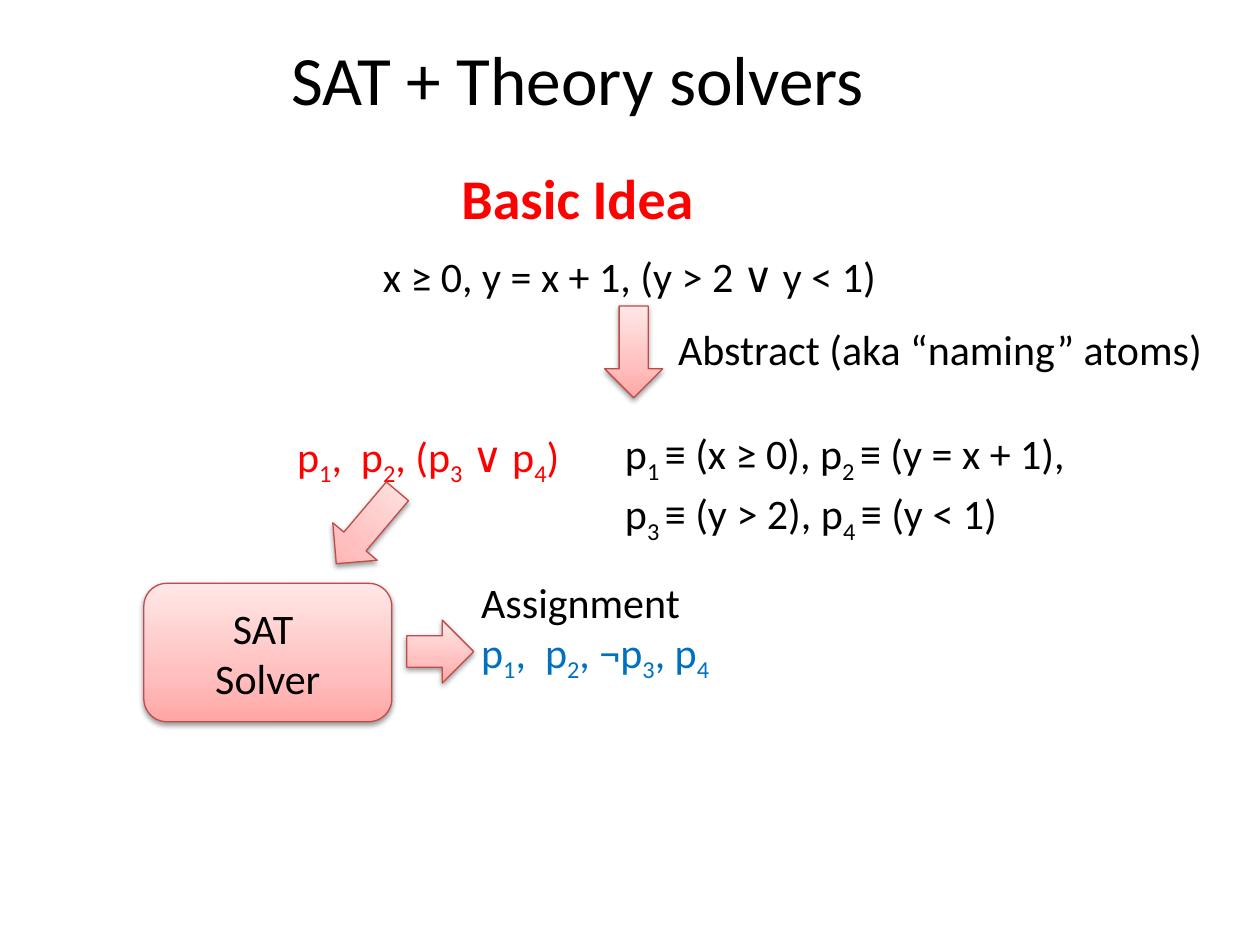
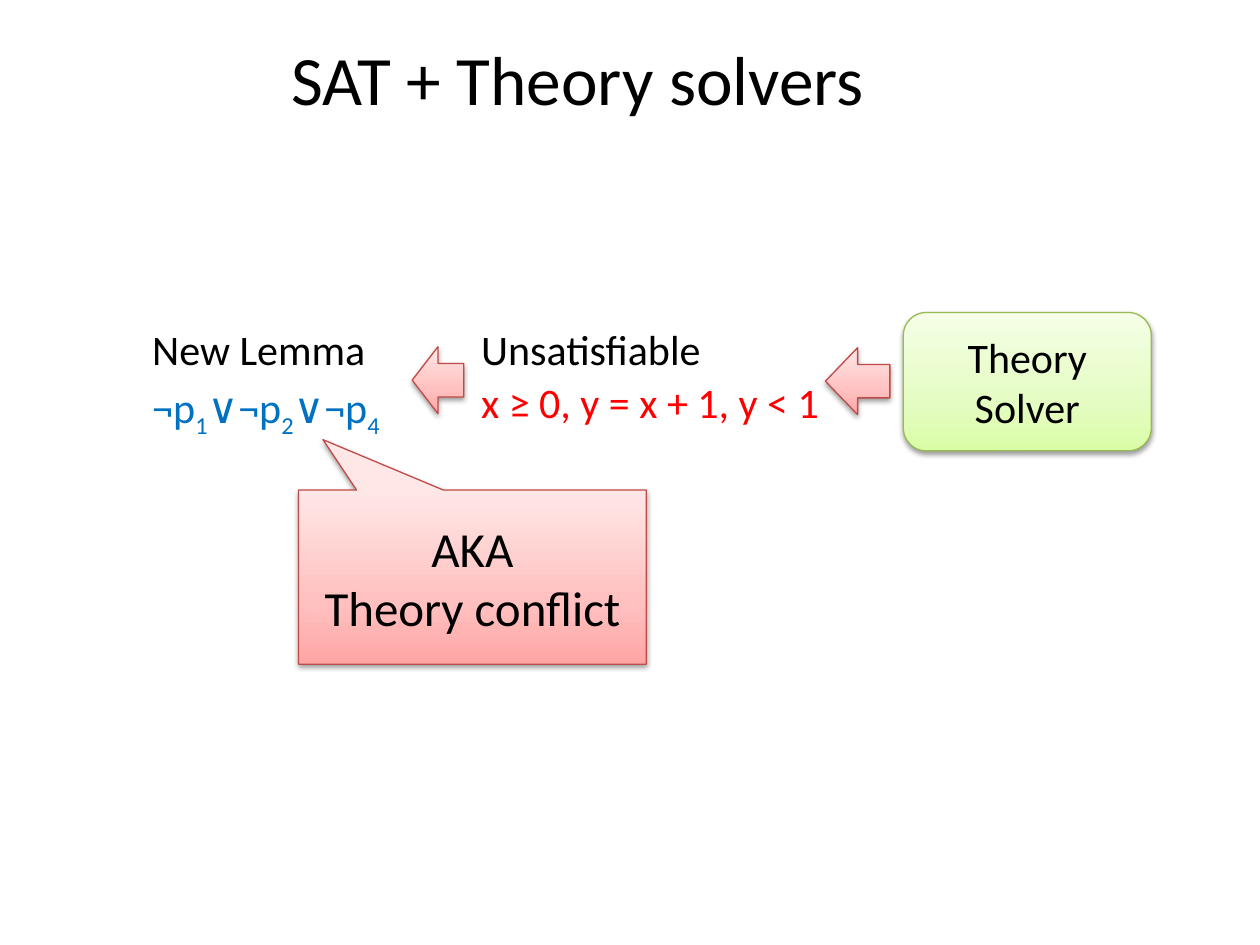
from copy import deepcopy

from lxml import etree
from pptx import Presentation
from pptx.dml.color import RGBColor
from pptx.enum.shapes import MSO_SHAPE
from pptx.enum.text import MSO_ANCHOR, MSO_AUTO_SIZE, PP_ALIGN
from pptx.oxml.ns import qn
from pptx.util import Cm, Pt

LEFT, CENTER = PP_ALIGN.LEFT, PP_ALIGN.CENTER
MIDDLE = MSO_ANCHOR.MIDDLE
NO_AUTOFIT = MSO_AUTO_SIZE.NONE
DOWN_ARROW, RIGHT_ARROW, LEFT_ARROW = (
    MSO_SHAPE.DOWN_ARROW, MSO_SHAPE.RIGHT_ARROW, MSO_SHAPE.LEFT_ARROW)
ROUNDED_BOX = MSO_SHAPE.ROUNDED_RECTANGLE
CALLOUT = MSO_SHAPE.RECTANGULAR_CALLOUT

FONT = "Calibri"
TITLE = "SAT + Theory solvers"
TITLE_ONLY = 5
BODY_SIZE = 24
COLORS = {
    "text": "000000",
    "highlight": "FF0000",
    "literal": "0070C0",
    "shadow": "000000",
    "red_line": "BF4C48",
    "red_dark": "FFA6A5",
    "red_mid": "FFC0BF",
    "red_light": "FFE7E7",
    "green_line": "98B955",
    "green_dark": "DAFDA7",
    "green_mid": "E4FCC2",
    "green_light": "F5FFE7",
}
GRADIENT_STOPS = {"dark": 0, "mid": 0.35, "light": 1}


def rgb(name):
    return RGBColor.from_string(COLORS[name])


def style_paragraph(para, size, color="text", align=LEFT, bold=False):
    para.alignment = align
    font = para.font
    font.name, font.size, font.bold = FONT, Pt(size), bold
    font.color.rgb = rgb(color)


def add_spans(para, text):
    """Text between tildes is set as subscript."""
    for index, part in enumerate(text.split("~")):
        if part:
            span = para.add_run()
            span.text = part
            if index % 2:
                span._r.get_or_add_rPr().set("baseline", "-25000")


def write_lines(frame, lines, size, align, bold=False, leading=1.0, gap=0):
    for index, (text, color) in enumerate(lines):
        para = frame.add_paragraph() if index else frame.paragraphs[0]
        style_paragraph(para, size, color, align, bold)
        para.line_spacing = leading
        para.space_before = Pt(gap if index else 0)
        add_spans(para, text)


def set_margins(frame, across, down):
    frame.margin_left = frame.margin_right = Cm(across)
    frame.margin_top = frame.margin_bottom = Cm(down)


def add_page(deck):
    page = deck.slides.add_slide(deck.slide_layouts[TITLE_ONLY])
    title = page.shapes.title
    title.left, title.top, title.width, title.height = map(Cm, (0, 0.64, 23.29, 1.85))
    frame = title.text_frame
    frame.auto_size = NO_AUTOFIT
    frame.vertical_anchor = MIDDLE
    write_lines(frame, [(TITLE, "text")], 39.6, CENTER)
    return page


def add_heading(page, text, place):
    frame = page.shapes.add_textbox(*map(Cm, place)).text_frame
    frame.word_wrap = True
    write_lines(frame, [(text, "highlight")], 32, CENTER, bold=True)


def add_formula(page, lines, place, align=LEFT, gap=4.8):
    frame = page.shapes.add_textbox(*map(Cm, place)).text_frame
    frame.word_wrap = True
    set_margins(frame, 0, 0)
    write_lines(frame, lines, BODY_SIZE, align, leading=0.9, gap=gap)


def fill_gradient(shape, tone):
    shape.fill.gradient()
    shape.fill.gradient_angle = 90
    first = shape.fill._xPr.find(".//" + qn("a:gs"))
    first.addnext(deepcopy(first))
    for stop, (shade, position) in zip(shape.fill.gradient_stops, GRADIENT_STOPS.items()):
        stop.color.rgb = rgb(f"{tone}_{shade}")
        stop.position = position


def add_shadow(shape):
    shape.shadow.inherit = False
    effects = shape._element.spPr.find(qn("a:effectLst"))
    shadow = etree.SubElement(
        effects, qn("a:outerShdw"), blurRad=str(Pt(3.1)), dist=str(Pt(1.6)),
        dir="5400000", rotWithShape="0")
    color = etree.SubElement(shadow, qn("a:srgbClr"), val=COLORS["shadow"])
    etree.SubElement(color, qn("a:alpha"), val="38000")


def add_glossy(page, kind, place, tone="red"):
    shape = page.shapes.add_shape(kind, *map(Cm, place))
    fill_gradient(shape, tone)
    shape.line.color.rgb = rgb(f"{tone}_line")
    shape.line.width = Pt(0.75)
    add_shadow(shape)
    return shape


def add_labelled(page, kind, lines, place, tone="red", size=BODY_SIZE):
    shape = add_glossy(page, kind, place, tone)
    frame = shape.text_frame
    frame.word_wrap = True
    frame.vertical_anchor = MIDDLE
    set_margins(frame, 0.3, 0.15)
    write_lines(frame, [(line, "text") for line in lines], size, CENTER)
    return shape


def build_abstraction(deck):
    page = add_page(deck)
    add_heading(page, "Basic Idea", (0, 3.18, 23.29, 6.15))
    add_formula(page, [("x ≥ 0, y = x + 1, (y > 2 ∨ y < 1) ", "text")],
                (1.14, 5.16, 23.29, 0.91), CENTER)
    add_formula(page, [("p~1~,  p~2~, (p~3~ ∨ p~4~)", "highlight")],
                (5.99, 8.69, 6.05, 0.91))
    add_glossy(page, DOWN_ARROW, (12.19, 6.17, 1.17, 1.85))
    add_formula(page, [("Abstract (aka “naming” atoms)", "text")],
                (13.67, 6.63, 11.73, 0.91))
    add_formula(page, [("p~1 ~≡ (x ≥ 0), p~2 ~≡ (y = x + 1),", "text"),
                       ("p~3 ~≡ (y > 2), p~4 ~≡ (y < 1)", "text")],
                (12.6, 8.64, 10.36, 2.06))
    add_labelled(page, ROUNDED_BOX, ["SAT ", "Solver"], (2.9, 11.76, 5, 2.79))
    to_solver = add_glossy(page, DOWN_ARROW, (6.81, 9.68, 1.17, 1.91))
    to_solver.rotation = 40.2
    add_glossy(page, RIGHT_ARROW, (8.2, 12.5, 1.35, 1.27))
    add_formula(page, [("Assignment", "text"),
                       ("p~1~,  p~2~, ¬p~3~, p~4~", "literal")],
                (9.7, 11.73, 6.05, 1.85), gap=0)


def build_conflict(deck):
    page = add_page(deck)
    add_labelled(page, ROUNDED_BOX, ["Theory", "Solver"], (18.21, 6.3, 5, 2.79), "green")
    add_glossy(page, LEFT_ARROW, (16.64, 7.01, 1.3, 1.35))
    add_formula(page, [("Unsatisfiable", "text"),
                       ("x ≥ 0, y = x + 1, y < 1", "highlight")],
                (9.7, 6.63, 6.93, 2.06))
    add_glossy(page, LEFT_ARROW, (8.31, 6.99, 1.04, 1.35))
    add_formula(page, [("New Lemma", "text"),
                       ("¬p~1~∨¬p~2~∨¬p~4~", "literal")],
                (3.07, 6.63, 6.93, 4.32))
    callout = add_labelled(page, CALLOUT, ["AKA", "Theory conflict"],
                           (6.02, 9.88, 7.01, 3.51), size=28)
    callout.adjustments[0], callout.adjustments[1] = -0.43, -0.79


def main():
    deck = Presentation()
    deck.slide_width, deck.slide_height = Cm(25.4), Cm(19.05)
    build_abstraction(deck)
    build_conflict(deck)
    deck.save("out.pptx")


if __name__ == "__main__":
    main()
